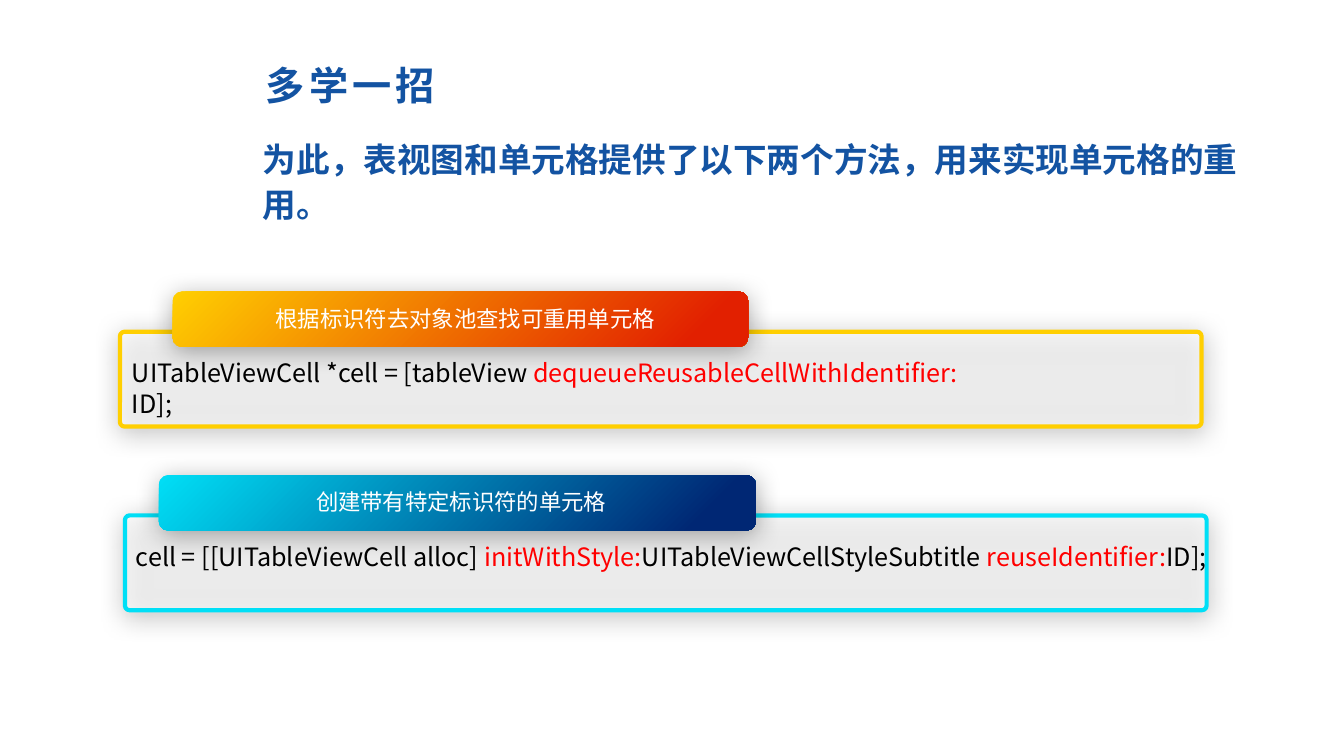
"""Build the slide on the two methods for reusing table view cells."""
from lxml import etree
from pptx import Presentation
from pptx.dml.color import RGBColor
from pptx.enum.shapes import MSO_SHAPE
from pptx.enum.text import MSO_ANCHOR, PP_ALIGN
from pptx.oxml.ns import qn
from pptx.util import Pt

ROUNDED = MSO_SHAPE.ROUNDED_RECTANGLE
TOP, MIDDLE = MSO_ANCHOR.TOP, MSO_ANCHOR.MIDDLE
LEFT, CENTER = PP_ALIGN.LEFT, PP_ALIGN.CENTER

FONT = "Noto Sans CJK SC"
WHITE = RGBColor(0xFF, 0xFF, 0xFF)
BLACK = RGBColor(0x00, 0x00, 0x00)
BLUE = RGBColor(0x13, 0x53, 0xA2)
METHOD_RED = RGBColor(0xFF, 0x00, 0x00)
YELLOW = RGBColor(0xFF, 0xCF, 0x01)
ORANGE_RED = RGBColor(0xE2, 0x20, 0x00)
CYAN = RGBColor(0x00, 0xDF, 0xF6)
NAVY = RGBColor(0x00, 0x27, 0x74)

TITLE = "多学一招"
INTRO = "为此，表视图和单元格提供了以下两个方法，用来实现单元格的重用。"
METHODS = [
    {
        "label": "根据标识符去对象池查找可重用单元格",
        "code": [
            [("UITableViewCell *cell = [tableView ", BLACK),
             ("dequeueReusableCellWithIdentifier:", METHOD_RED)],
            [("ID];", BLACK)],
        ],
        "colors": (YELLOW, ORANGE_RED),
        "card_left": 85.7, "tab": (123.3, 411), "label_span": (132.5, 400),
        "code_span": (87.1, 782),
    },
    {
        "label": "创建带有特定标识符的单元格",
        "code": [
            [("cell = [[UITableViewCell alloc] ", BLACK),
             ("initWithStyle:", METHOD_RED),
             ("UITableViewCellStyleSubtitle ", BLACK),
             ("reuseIdentifier:", METHOD_RED),
             ("ID];", BLACK)],
        ],
        "colors": (CYAN, NAVY),
        "card_left": 89.3, "tab": (113.5, 426.5), "label_span": (77, 505),
        "code_span": (90, 850),
    },
]

FIRST_TOP, METHOD_STEP = 208.2, 131.2
CARD_WIDTH, CARD_HEIGHT, CARD_DROP = 772.6, 67.7, 28.8
TAB_HEIGHT, LABEL_DROP, LABEL_HEIGHT = 39.6, 6, 29.5
CODE_DROP = 43.8


def add_text(shapes, bounds, lines, size, align=LEFT, anchor=TOP,
             bold=False, leading=None, spacing=None):
    """Add a text box whose lines are lists of (text, color) runs."""
    box = shapes.add_textbox(*map(Pt, bounds))
    frame = box.text_frame
    frame.word_wrap = True
    frame.vertical_anchor = anchor
    for index, runs in enumerate(lines):
        para = frame.paragraphs[0] if index == 0 else frame.add_paragraph()
        para.alignment = align
        if leading:
            para.line_spacing = Pt(leading)
        for text, color in runs:
            span = para.add_run()
            span.text = text
            span.font.size = Pt(size)
            span.font.bold = bold
            span.font.name = FONT
            span.font.color.rgb = color
            properties = span.font._element
            etree.SubElement(properties, qn("a:ea")).set("typeface", FONT)
            if spacing:
                properties.set("spc", str(spacing * 100))


def add_panel(shapes, bounds):
    """Add a rounded panel with a soft shadow below it."""
    panel = shapes.add_shape(ROUNDED, *map(Pt, bounds))
    panel.shadow.inherit = False
    effects = panel._element.spPr.find(qn("a:effectLst"))
    shadow = etree.SubElement(
        effects, qn("a:outerShdw"), blurRad=str(Pt(17.8)), dist=str(Pt(3)),
        dir=str(87 * 60000), algn="t", rotWithShape="0")
    color = etree.SubElement(shadow, qn("a:srgbClr"), val=str(BLACK))
    etree.SubElement(color, qn("a:alpha"), val="33000")
    return panel


def add_method(page, method, top):
    """Add one method: code card, gradient tab, label and code."""
    shapes = page.shapes.add_group_shape().shapes
    start, end = method["colors"]

    card = add_panel(shapes, (method["card_left"], top + CARD_DROP,
                              CARD_WIDTH, CARD_HEIGHT))
    card.adjustments[0] = 0.048
    card.fill.solid()
    card.fill.fore_color.rgb = WHITE
    fill_color = card._element.spPr.find(qn("a:solidFill"))[0]
    etree.SubElement(fill_color, qn("a:alpha"), val="60000")
    card.line.color.rgb = start
    card.line.width = Pt(3)

    tab_left, tab_width = method["tab"]
    tab = add_panel(shapes, (tab_left, top, tab_width, TAB_HEIGHT))
    tab.line.fill.background()
    tab.fill.gradient()
    tab.fill.gradient_angle = 315
    for stop, color, position in zip(tab.fill.gradient_stops, (start, end), (0, 0.9)):
        stop.color.rgb = color
        stop.position = position

    label_left, label_width = method["label_span"]
    add_text(shapes, (label_left, top + LABEL_DROP, label_width, LABEL_HEIGHT),
             [[(method["label"], WHITE)]], 16, align=CENTER)
    code_left, code_width = method["code_span"]
    code_height = 7.2 + 22 * len(method["code"])
    add_text(shapes, (code_left, top + CODE_DROP, code_width, code_height),
             method["code"], 18)


def main():
    """Lay out the slide and save the deck."""
    deck = Presentation()
    deck.slide_width, deck.slide_height = Pt(960), Pt(540)
    page = deck.slides.add_slide(deck.slide_layouts[6])
    add_text(page.shapes, (180.7, 92.9, 729.4, 71.3), [[(INTRO, BLUE)]], 24,
             bold=True, leading=31.8)
    for index, method in enumerate(METHODS):
        add_method(page, method, FIRST_TOP + index * METHOD_STEP)
    add_text(page.shapes, (182.9, 32.4, 611.3, 56.9), [[(TITLE, BLUE)]], 28,
             anchor=MIDDLE, bold=True, spacing=3)
    deck.save("out.pptx")


if __name__ == "__main__":
    main()
